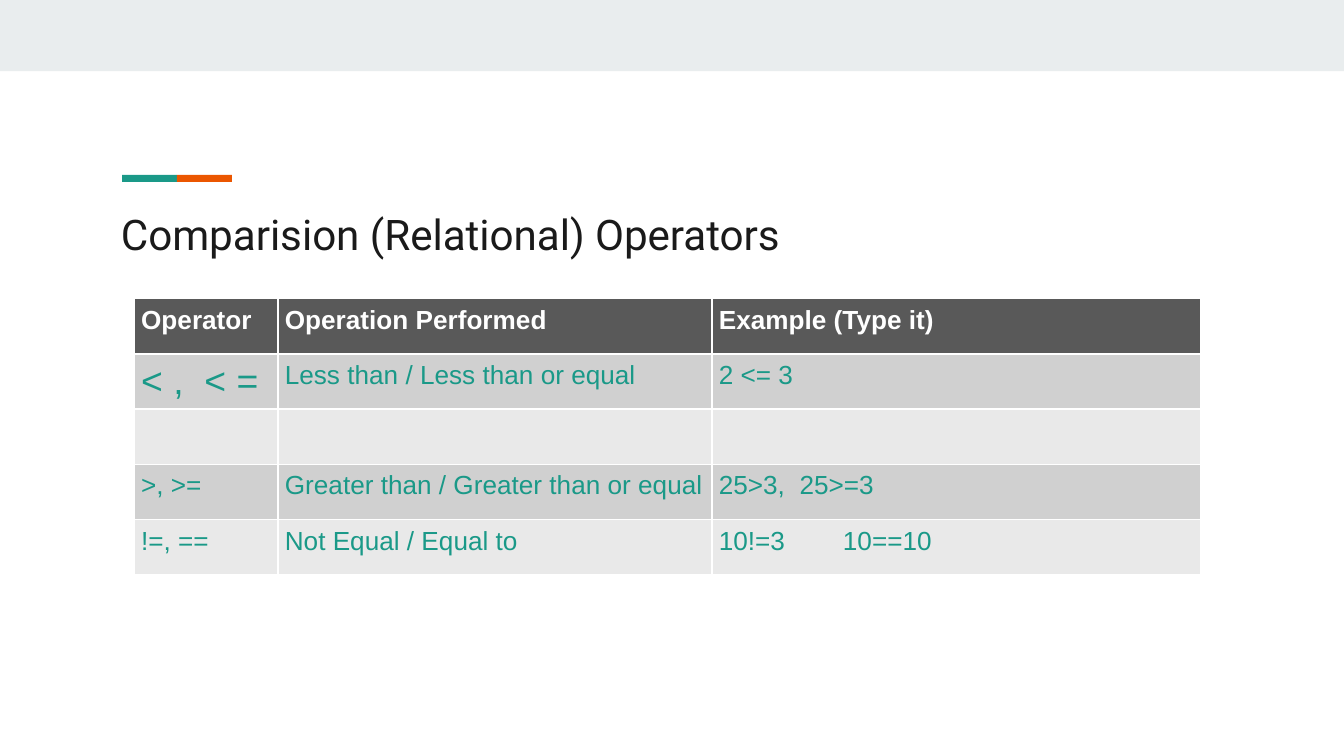
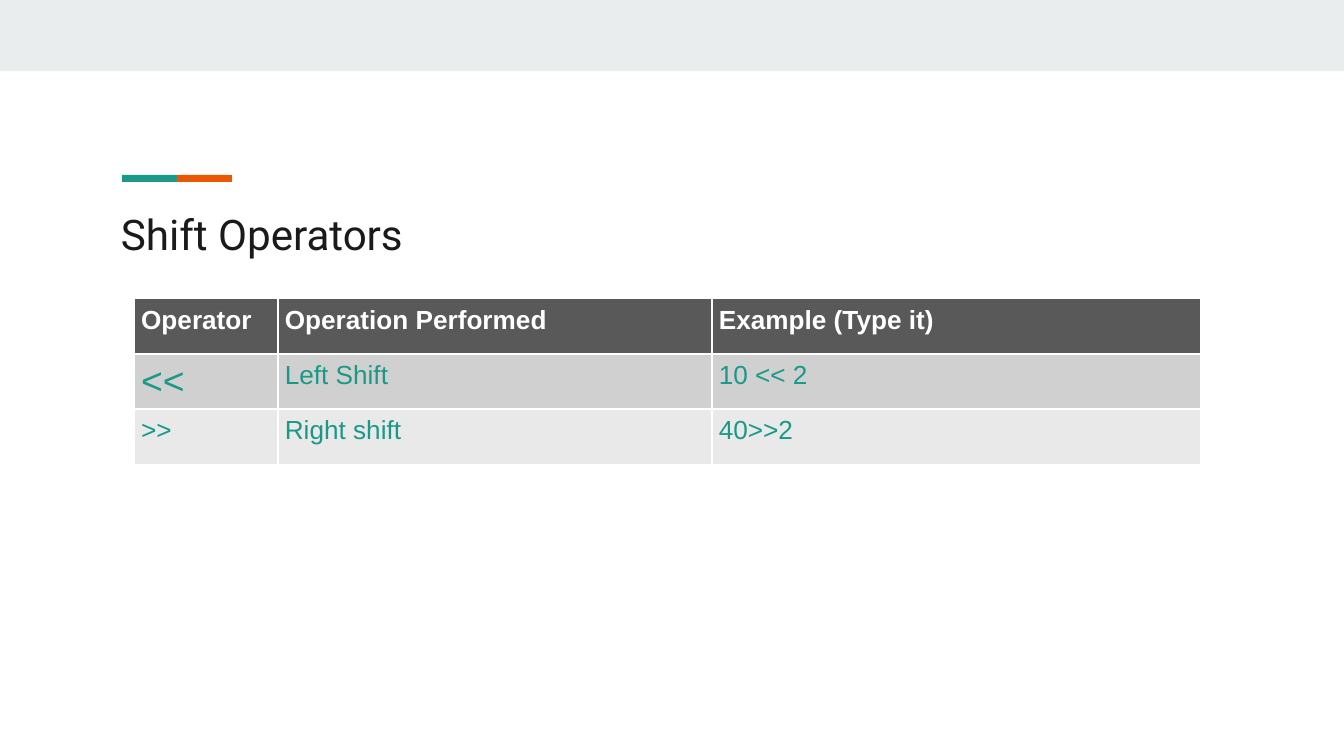
"""Builds two slides that list comparison and shift operators in tables."""
import lxml.etree
import pptx
import pptx.dml.color
import pptx.enum.shapes
import pptx.enum.text
import pptx.oxml.ns
import pptx.util

Pt = pptx.util.Pt
RGBColor = pptx.dml.color.RGBColor
qn = pptx.oxml.ns.qn

WHITE = RGBColor(0xFF, 0xFF, 0xFF)
INK = RGBColor(0x1A, 0x1A, 0x1A)
TEAL = RGBColor(0x1A, 0x99, 0x88)
ORANGE = RGBColor(0xEB, 0x56, 0x00)
BAND = RGBColor(0xE9, 0xED, 0xEE)
HEADER = RGBColor(0x59, 0x59, 0x59)
ROW_DARK = RGBColor(0xD0, 0xD0, 0xD0)
ROW_LIGHT = RGBColor(0xE9, 0xE9, 0xE9)

SLIDE_WIDTH, SLIDE_HEIGHT = 720, 405
COLUMN_WIDTHS = (77, 232.5, 262)
ROW_HEIGHT = 29.6
HEADINGS = ("Operator", "Operation Performed", "Example (Type it)")

COMPARISONS = (
    ("< ,  < =", "Less than / Less than or equal", "2 <= 3"),
    ("", "", ""),
    (">, >=", "Greater than / Greater than or equal", "25>3,  25>=3"),
    ("!=, ==", "Not Equal / Equal to", "10!=3\t10==10"),
)
SHIFTS = (
    ("<<", "Left Shift", "10 << 2"),
    (">>", "Right shift", "40>>2"),
)


def write(frame, text, font="Arial", size=14, color=TEAL, bold=False,
          margin=3.6, tab=66.5):
    """Fill a text frame with one formatted paragraph; a tab jumps to `tab`."""
    frame.margin_left = frame.margin_right = Pt(margin)
    frame.margin_top = frame.margin_bottom = Pt(margin)
    paragraph = frame.paragraphs[0]
    paragraph.alignment = pptx.enum.text.PP_ALIGN.LEFT
    if "\t" in text:
        stops = lxml.etree.SubElement(paragraph._p.get_or_add_pPr(), qn("a:tabLst"))
        lxml.etree.SubElement(stops, qn("a:tab"), pos=str(Pt(tab)), algn="l")
    run = paragraph.add_run()
    run.text = text
    run.font.name = font
    run.font.size = Pt(size)
    run.font.bold = bold
    run.font.color.rgb = color


def outline(cell, color=WHITE, width=1):
    """Draw a border on all four sides of a table cell."""
    properties = cell._tc.get_or_add_tcPr()
    for side in ("a:lnL", "a:lnR", "a:lnT", "a:lnB"):
        line = lxml.etree.SubElement(properties, qn(side), w=str(Pt(width)))
        fill = lxml.etree.SubElement(line, qn("a:solidFill"))
        lxml.etree.SubElement(fill, qn("a:srgbClr"), val=str(color))


class OperatorDeck:
    """Holds the shared style and the slide being built."""

    def __init__(self):
        """Open an empty widescreen presentation."""
        self.presentation = pptx.Presentation()
        self.presentation.slide_width = Pt(SLIDE_WIDTH)
        self.presentation.slide_height = Pt(SLIDE_HEIGHT)
        self.slide = None

    def start(self, heading):
        """Add a slide with the top band, the accent bars and a title."""
        layout = self.presentation.slide_layouts[5]
        self.slide = self.presentation.slides.add_slide(layout)
        background = self.slide.background.fill
        background.solid()
        background.fore_color.rgb = WHITE
        self.bar(0, 0, SLIDE_WIDTH, 38.2, BAND)
        for index, color in enumerate((TEAL, ORANGE)):
            self.bar(65.4 + index * 29.4, 93.7, 29.4, 3.8, color)
        self.title(heading)

    def title(self, heading):
        """Place and format the title placeholder."""
        title = self.slide.shapes.title
        title.left, title.top = Pt(57.6), Pt(103.7)
        title.width, title.height = Pt(605.5), Pt(42.5)
        frame = title.text_frame
        frame.word_wrap = True
        frame.auto_size = pptx.enum.text.MSO_AUTO_SIZE.NONE
        frame.vertical_anchor = pptx.enum.text.MSO_ANCHOR.MIDDLE
        write(frame, heading, font="Roboto", size=22.6, color=INK, margin=7.2)

    def bar(self, left, top, width, height, color):
        """Draw a plain filled rectangle."""
        bar = self.slide.shapes.add_shape(
            pptx.enum.shapes.MSO_SHAPE.RECTANGLE,
            Pt(left), Pt(top), Pt(width), Pt(height))
        bar.shadow.inherit = False
        bar.fill.solid()
        bar.fill.fore_color.rgb = color
        bar.line.fill.background()

    def operator_table(self, operators):
        """Draw the headed, banded table of operators."""
        rows = (HEADINGS, *operators)
        table = self.slide.shapes.add_table(
            len(rows), len(HEADINGS), Pt(72), Pt(160),
            Pt(sum(COLUMN_WIDTHS)), Pt(ROW_HEIGHT * len(rows))).table
        for column, width in zip(table.columns, COLUMN_WIDTHS):
            column.width = Pt(width)
        for r, row in enumerate(rows):
            table.rows[r].height = Pt(ROW_HEIGHT)
            shade = HEADER if r == 0 else ROW_DARK if r % 2 else ROW_LIGHT
            for c, text in enumerate(row):
                self.cell(table.cell(r, c), text, shade, is_heading=r == 0,
                          size=20 if (r, c) == (1, 0) else 14)

    def cell(self, cell, text, shade, is_heading, size):
        """Format one table cell and write its text, if it has any."""
        outline(cell)
        cell.fill.solid()
        cell.fill.fore_color.rgb = shade
        cell.margin_left = cell.margin_right = Pt(3.6)
        cell.margin_top = cell.margin_bottom = Pt(3.6)
        if text:
            write(cell.text_frame, text, size=size, bold=is_heading,
                  color=WHITE if is_heading else TEAL)


def main():
    """Build both slides and save them."""
    deck = OperatorDeck()
    for heading, operators in (
            ("Comparision (Relational) Operators", COMPARISONS),
            ("Shift Operators", SHIFTS)):
        deck.start(heading)
        deck.operator_table(operators)
    deck.presentation.save("out.pptx")


main()
